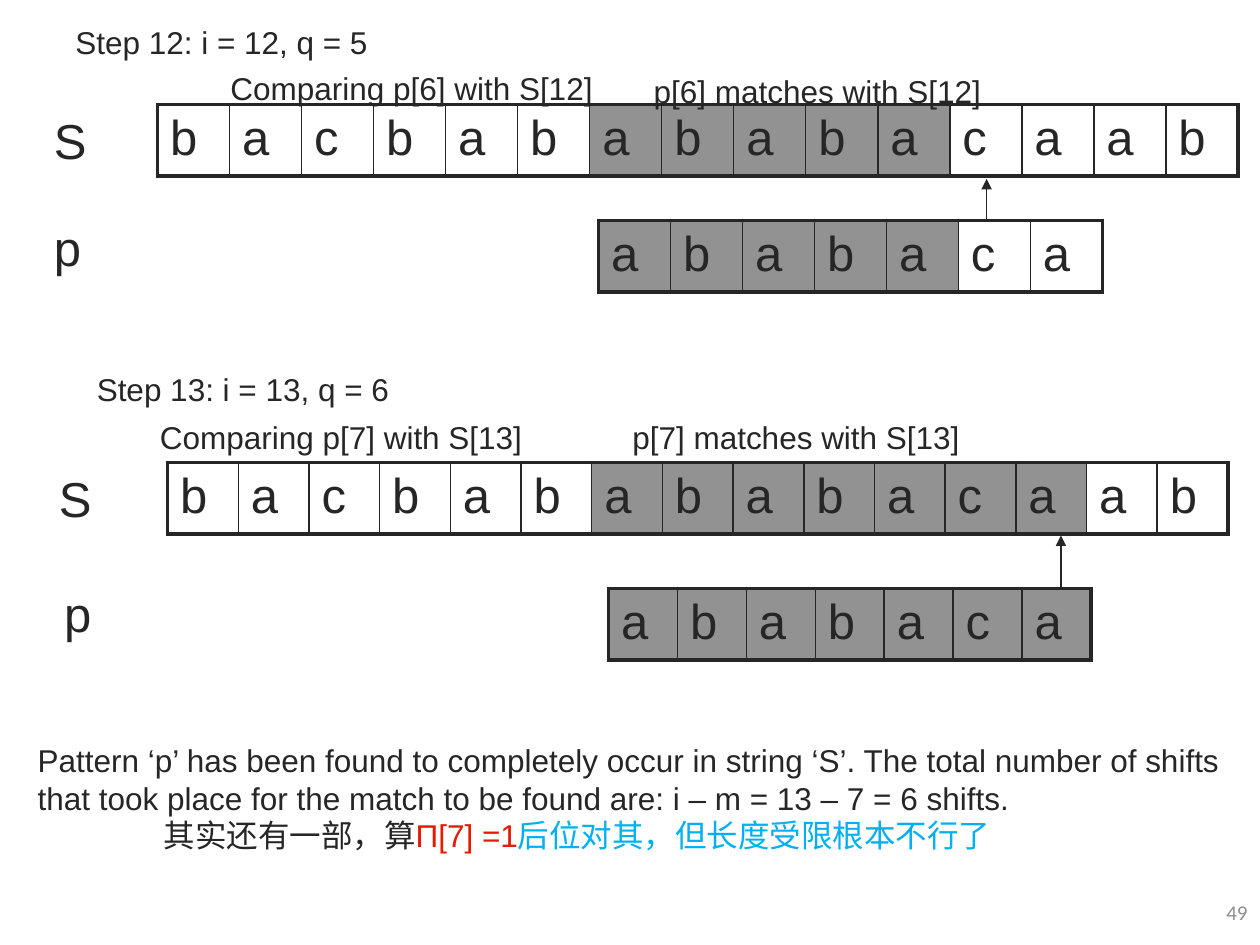
from lxml import etree
from pptx import Presentation, util as u
from pptx.dml.color import RGBColor
from pptx.enum import shapes, text
from pptx.oxml.ns import qn

INK = RGBColor(0x26, 0x26, 0x26)
RED = RGBColor(0xE7, 0x19, 0x03)
BLUE = RGBColor(0x00, 0xB0, 0xF0)
GREY = RGBColor(0x8E, 0x8E, 0x8E)

STRING = "bacbabababacaab"
PATTERN = "ababaca"


def add_node(parent, tag, **attributes):
    return etree.SubElement(parent, qn(tag), **attributes)


class MatchSlide:
    body = {"name": "Arial", "size": u.Pt(18), "bold": False}
    letter = {**body, "size": u.Pt(28)}
    number = {**body, "name": "Calibri", "size": u.Pt(12)}
    thin, thick = 1, 2.25

    def __init__(self, deck):
        self.page = deck.slides.add_slide(deck.slide_layouts[6])

    def add_span(self, para, words, look, color=INK):
        span = para.add_run()
        span.text = words
        for name, value in look.items():
            setattr(span.font, name, value)
        span.font.color.rgb = color

    def box(self, left, top, width, height, lines, look=None, color=INK, wrap=False):
        """Each line is a list of (words, color) pairs or a plain string."""
        shape = self.page.shapes.add_textbox(*map(u.Inches, (left, top, width, height)))
        frame = shape.text_frame
        frame.word_wrap = wrap
        if not wrap:
            frame.auto_size = text.MSO_AUTO_SIZE.SHAPE_TO_FIT_TEXT
        for index, line in enumerate(lines):
            para = frame.add_paragraph() if index else frame.paragraphs[0]
            pairs = [(line, color)] if isinstance(line, str) else line
            for words, shade in pairs:
                self.add_span(para, words, look or self.body, shade)
        return frame

    def heading(self, left, top, words):
        frame = self.box(left, top, 4.5, 0.25, [words], wrap=True)
        frame.paragraphs[0].line_spacing = 0.9

    def border(self, cell, first, last):
        sides = {
            "a:lnL": self.thick if first else self.thin,
            "a:lnR": self.thick if last else self.thin,
            "a:lnT": self.thick,
            "a:lnB": self.thick,
        }
        properties = cell._tc.get_or_add_tcPr()
        for place, (tag, width) in enumerate(sides.items()):
            line = etree.Element(qn(tag), w=str(u.Pt(width)))
            add_node(add_node(line, "a:solidFill"), "a:srgbClr", val=str(INK))
            properties.insert(place, line)

    def letters(self, left, top, width, word, shaded):
        """A one-row table; the cells whose index is in shaded are matched."""
        frame = self.page.shapes.add_table(
            1, len(word), *map(u.Inches, (left, top, width, 0.53)))
        table = frame.table
        table.first_row = table.horz_banding = False
        for index, character in enumerate(word):
            table.columns[index].width = u.Inches(width / len(word))
            cell = table.cell(0, index)
            self.add_span(cell.text_frame.paragraphs[0], character, self.letter)
            if index in shaded:
                cell.fill.solid()
                cell.fill.fore_color.rgb = INK
                tint = cell._tc.tcPr.find(".//" + qn("a:srgbClr"))
                add_node(tint, "a:alpha", val="50000")
            else:
                cell.fill.background()
            self.border(cell, index == 0, index == len(word) - 1)

    def arrow(self, x, bottom, top):
        line = self.page.shapes.add_connector(
            shapes.MSO_CONNECTOR.STRAIGHT, *map(u.Inches, (x, bottom, x, top)))
        line.line.color.rgb = INK
        line.line.width = u.Pt(0.75)
        add_node(line.line._get_or_add_ln(), "a:tailEnd", type="triangle")
        add_node(line._element.spPr, "a:effectLst")


def main():
    deck = Presentation()
    deck.slide_width, deck.slide_height = u.Inches(10), u.Inches(7.5)
    slide = MatchSlide(deck)

    # Slide number
    frame = slide.box(7.67, 6.98, 2.33, 0.52, ["49"], slide.number, GREY, wrap=True)
    frame.vertical_anchor = text.MSO_ANCHOR.MIDDLE
    frame.paragraphs[0].alignment = text.PP_ALIGN.RIGHT

    # String and pattern rows
    slide.letters(1.25, 0.83, 8.58, STRING, range(6, 11))
    slide.letters(1.33, 3.67, 8.42, STRING, range(6, 13))
    slide.letters(4.75, 1.75, 4, PATTERN, range(5))
    slide.letters(4.83, 4.67, 3.83, PATTERN, range(7))

    # Step headings and comparisons
    slide.heading(0.5, 0.17, "Step 12: i = 12, q = 5")
    slide.heading(0.67, 2.92, "Step 13: i = 13, q = 6")
    slide.box(1.73, 0.5, 3.08, 0.4, ["Comparing p[6] with S[12]"])
    slide.box(1.17, 3.27, 3.08, 0.4, ["Comparing p[7] with S[13]"])
    slide.box(5.09, 0.52, 2.8, 0.4, ["p[6] matches with S[12]"])
    slide.box(4.92, 3.27, 2.8, 0.4, ["p[7] matches with S[13]"])

    # Row names
    for name, left, top, width in (("S", 0.33, 0.83, 0.46), ("S", 0.37, 3.67, 0.46),
                                   ("p", 0.41, 4.58, 0.42), ("p", 0.33, 1.68, 0.42)):
        slide.box(left, top, width, 0.57, [name], slide.letter)

    # Arrows from the pattern to the compared letter
    slide.arrow(7.83, 1.75, 1.42)
    slide.arrow(8.42, 4.67, 4.25)

    # Conclusion
    frame = slide.box(0.2, 5.83, 9.74, 1.01, [
        "Pattern ‘p’ has been found to completely occur in string ‘S’. "
        "The total number of shifts",
        "that took place for the match to be found are: i – m = 13 – 7 = 6 shifts.",
        [("其实还有一部，算", INK), ("Π[7] =1", RED),
         ("后位对其，但长度受限根本不行了", BLUE)],
    ])
    frame.paragraphs[2]._p.get_or_add_pPr().set("marL", str(u.Inches(1)))

    deck.save("out.pptx")


if __name__ == "__main__":
    main()
